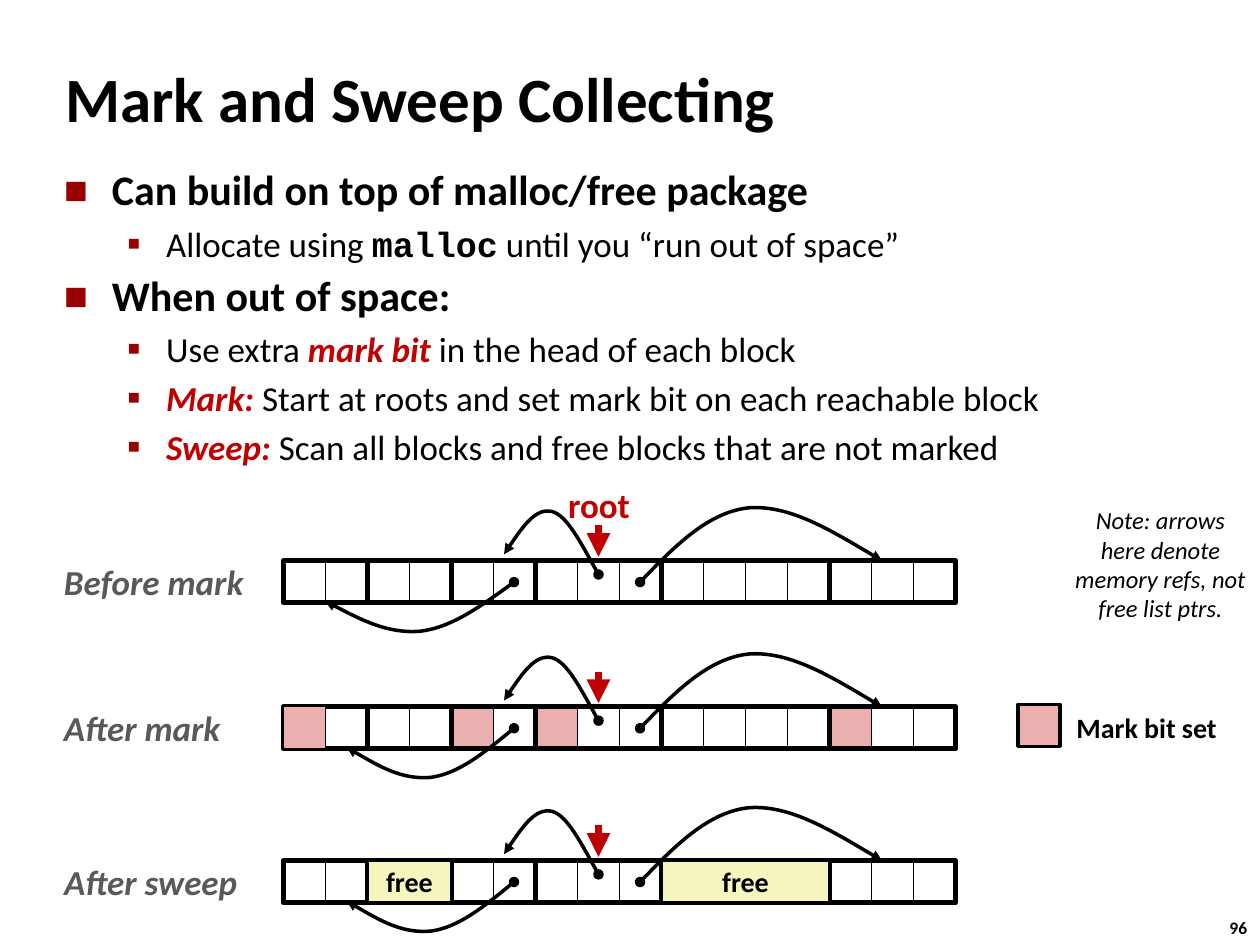
from itertools import accumulate

from lxml.etree import SubElement
from pptx import Presentation
from pptx.dml.color import RGBColor
from pptx.enum.shapes import MSO_CONNECTOR as Connector, MSO_SHAPE as Preset
from pptx.enum.text import MSO_ANCHOR as Anchor, PP_ALIGN as Align
from pptx.oxml import parse_xml
from pptx.oxml.ns import nsdecls, qn
from pptx.util import Inches, Pt

COLORS = {"black": "000000", "red": "C00000", "gray": "595959", "bullet": "990000",
          "mark": "EBAFAF", "free": "F6F5BD"}

TITLE = "Mark and Sweep Collecting"
TERM = {"color": "red", "bold": True, "italic": True}
CODE = {"name": "Courier New", "bold": True}
BULLETS = [
    (0, [("Can build on top of malloc/free package", {})]),
    (1, [("Allocate using ", {}), ("malloc", CODE), (" until you “run out of space”", {})]),
    (0, [("When out of space:", {})]),
    (1, [("Use extra ", {}), ("mark bit ", TERM), ("in the head of each block", {})]),
    (1, [("Mark: ", TERM), ("Start at roots and set mark bit on each reachable block", {})]),
    (1, [("Sweep: ", TERM), ("Scan all blocks and free blocks that are not marked", {})]),
]
LEVELS = [
    {"size": 24, "bold": True, "char": "■", "percent": 60, "left": 0.38, "hang": 0.38,
     "before": 5, "spacing": 0.95},
    {"size": 20, "bold": False, "char": "▪", "percent": 110, "left": 0.81, "hang": 0.31,
     "before": 4, "spacing": 1.0},
]
NOTE = "Note: arrows here denote memory refs, not free list ptrs."

HEAP_LEFT, CELL = 2.25, 1 / 3
BLOCKS = [2, 2, 2, 3, 4, 3]  # cells per block
STARTS = [0, *accumulate(BLOCKS)][:-1]
ROWS = [
    {"label": "Before mark", "top": 4.45, "width": 1.64, "marked": [], "free": [], "back_to": 2.58},
    {"label": "After mark", "top": 5.61, "width": 1.46, "marked": [2, 3, 5, 0], "free": [],
     "back_to": 2.75},
    {"label": "After sweep", "top": 6.83, "width": 1.61, "marked": [], "free": [1, 4],
     "back_to": 2.75},
]
# Bezier points: x on the slide, y from the top of the row
ROOT_REF = [(4.75, 0.11), (4.62, -0.12), (4.5, -0.36), (4.38, -0.39), (4.25, -0.42),
            (4.12, -0.23), (4, -0.05)]
FORWARD_REF = [(5.08, 0.17), (5.35, -0.11), (5.63, -0.39), (5.95, -0.42), (6.27, -0.44),
               (6.63, -0.22), (7, 0)]
BACK_REF = [(4.08, 0.17), (3.86, 0.35), (3.64, 0.53), (3.42, 0.56), (3.19, 0.58),
            (2.97, 0.45), (2.75, 0.32)]


def rgb(name):
    return RGBColor.from_string(COLORS[name])


def set_font(font, color="black", size=None, **values):
    font.color.rgb = rgb(color)
    if size:
        font.size = Pt(size)
    for key, value in {"name": "Calibri", **values}.items():
        setattr(font, key, value)


def write(shape, text, align=Align.LEFT, wrap=False, anchor=Anchor.TOP, **values):
    frame = shape.text_frame
    frame.word_wrap, frame.vertical_anchor = wrap, anchor
    para = frame.paragraphs[0]
    para.alignment = align
    span = para.add_run()
    span.text = text
    set_font(span.font, **values)
    return para


def add_text(page, place, text, **values):
    return write(page.shapes.add_textbox(*map(Inches, place)), text, **values)


def add_box(page, place, weight, fill=None):
    box = page.shapes.add_shape(Preset.RECTANGLE, *map(Inches, place))
    box.shadow.inherit = False
    if fill:
        box.fill.solid()
        box.fill.fore_color.rgb = rgb(fill)
    else:
        box.fill.background()
    style_line(box, weight)
    return box


def style_line(shape, weight, color="black", head=None, tail=None):
    shape.line.color.rgb = rgb(color)
    shape.line.width = Pt(weight)
    for tag, kind in (("a:headEnd", head), ("a:tailEnd", tail)):
        if kind:
            SubElement(shape.line._get_or_add_ln(), qn(tag), type=kind)


def add_line(page, start, end, weight, **values):
    line = page.shapes.add_connector(Connector.STRAIGHT, *map(Inches, (*start, *end)))
    style_line(line, weight, **values)
    SubElement(line._element.spPr, qn("a:effectLst"))


def add_curve(page, points, top):
    """Draw a Bezier reference with a dot at its start and an arrowhead at its end."""
    spots = [(Inches(x), Inches(top + y)) for x, y in points]
    builder = page.shapes.build_freeform(*spots[0])
    builder.add_line_segments(spots[1:], close=False)
    curve = builder.convert_to_shape()
    outline = next(curve._element.iter(qn("a:path")))
    steps = outline.findall(qn("a:lnTo"))
    for first in range(0, len(steps), 3):
        bend = SubElement(outline, qn("a:cubicBezTo"))
        for step in steps[first:first + 3]:
            bend.append(step[0])
            outline.remove(step)
    curve.shadow.inherit = False
    curve.fill.background()
    style_line(curve, 2, head="oval", tail="triangle")


def add_bullets(page):
    frame = page.shapes.add_textbox(*map(Inches, (0.41, 1.28, 9.09, 2.63))).text_frame
    frame.word_wrap = True
    for index, (level, spans) in enumerate(BULLETS):
        look = LEVELS[level]
        para = frame.add_paragraph() if index else frame.paragraphs[0]
        para.level = level
        props = para._p.get_or_add_pPr()
        props.set("marL", str(Inches(look["left"])))
        props.set("indent", str(-Inches(look["hang"])))
        for xml in (f'<a:buClr {nsdecls("a")}><a:srgbClr val="{COLORS["bullet"]}"/></a:buClr>',
                    f'<a:buSzPct {nsdecls("a")} val="{look["percent"] * 1000}"/>',
                    f'<a:buFont {nsdecls("a")} typeface="Calibri"/>',
                    f'<a:buChar {nsdecls("a")} char="{look["char"]}"/>'):
            props.append(parse_xml(xml))
        para.line_spacing = look["spacing"]
        para.space_before = Pt(look["before"] if index else 0)
        for text, values in spans:
            span = para.add_run()
            span.text = text
            set_font(span.font, **{"size": look["size"], "bold": look["bold"], **values})


def add_heap(page, row):
    top = row["top"]

    def cell_x(cell):
        return HEAP_LEFT + cell * CELL

    def block_place(block):
        return cell_x(STARTS[block]), top, BLOCKS[block] * CELL, CELL

    def add_mark(block):
        add_box(page, (cell_x(STARTS[block]), top, CELL, CELL), 0.75, "mark")

    for block in filter(None, row["marked"]):
        add_mark(block)
    start = BACK_REF[0][0]
    stretch = (start - row["back_to"]) / (start - BACK_REF[-1][0])
    back = [(start - (start - x) * stretch, y) for x, y in BACK_REF]
    for points in (ROOT_REF, FORWARD_REF, back):
        add_curve(page, points, top)
    add_text(page, (0.41, top - 0.05, row["width"], 0.44), row["label"],
             size=20, color="gray", bold=True, italic=True)
    add_line(page, (4.75, top - 0.28), (4.75, top - 0.03), 4.5, color="red", tail="triangle")

    for block in range(len(BLOCKS)):
        add_box(page, block_place(block), 3)
    for block, count in enumerate(BLOCKS):
        if block in row["free"]:
            box = add_box(page, block_place(block), 2, "free")
            write(box, "free", align=Align.CENTER, anchor=Anchor.MIDDLE, size=16, bold=True)
            continue
        for offset in range(1, count):
            x = cell_x(STARTS[block] + offset)
            beside_mark = offset == 1 and block in row["marked"]
            add_line(page, (x, top), (x, top + CELL), 1 if beside_mark else 0.5)
    if 0 in row["marked"]:  # the first mark lies over the frame
        add_mark(0)


def main():
    deck = Presentation()
    deck.slide_width, deck.slide_height = Inches(10), Inches(7.5)
    page = deck.slides.add_slide(deck.slide_layouts[6])

    title = add_text(page, (0.42, 0.5, 7.82, 0.63), TITLE, wrap=True, anchor=Anchor.MIDDLE,
                     size=36, bold=True)
    title.line_spacing = 0.87
    add_bullets(page)
    for row in ROWS:
        add_heap(page, row)
    add_text(page, (4.41, 3.79, 0.69, 0.44), "root", size=20, color="red", bold=True)
    add_text(page, (8.42, 3.96, 1.58, 1.04), NOTE, align=Align.CENTER, wrap=True,
             size=14, italic=True)
    add_box(page, (8.08, 5.59, CELL, CELL), 2, "mark")
    add_text(page, (8.44, 5.59, 1.32, 0.37), "Mark bit set", align=Align.CENTER,
             size=16, bold=True)
    add_text(page, (9.66, 7.23, 0.37, 0.27), "96", size=10, bold=True)
    deck.save("out.pptx")


if __name__ == "__main__":
    main()
